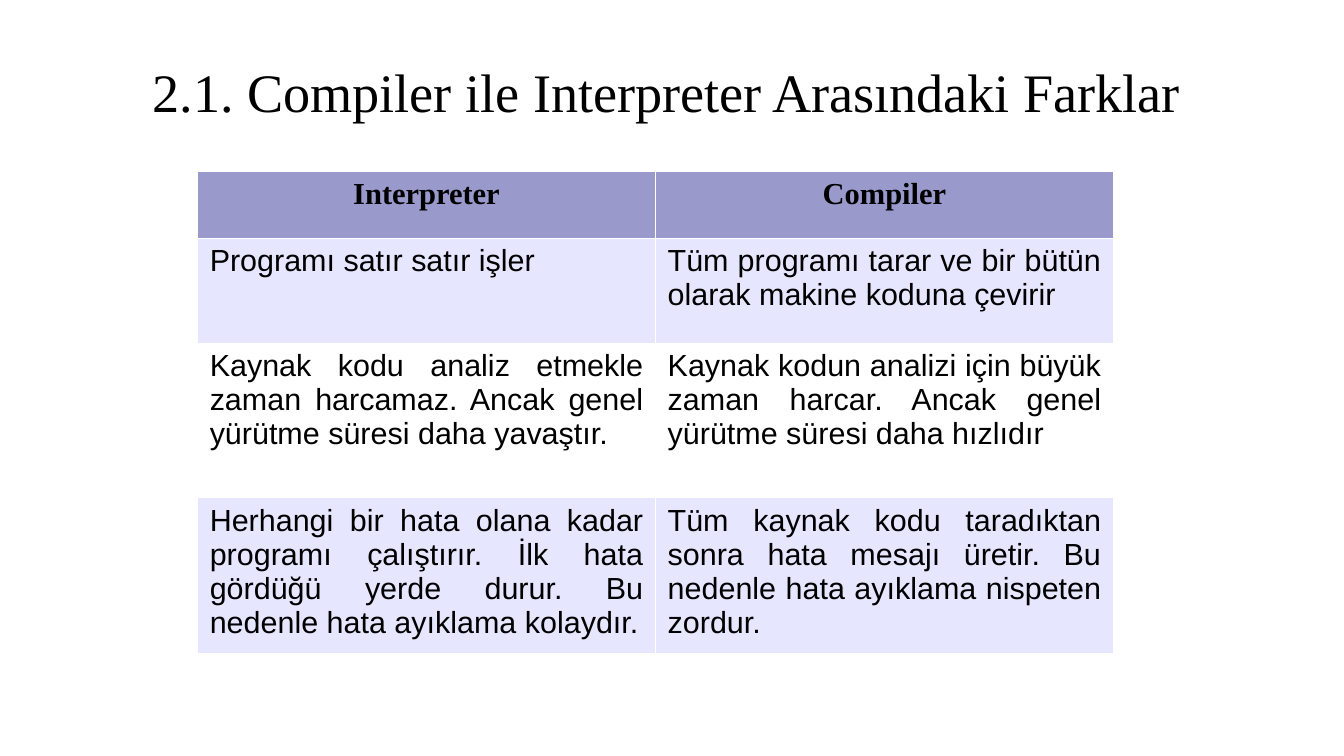
from dataclasses import dataclass

from lxml.etree import SubElement as Sub
from pptx import Presentation
from pptx.dml.color import RGBColor as Rgb
from pptx.enum.text import MSO_ANCHOR as Anchor, PP_ALIGN as Align
from pptx.oxml.ns import qn
from pptx.util import Inches, Pt

TITLE = "2.1. Compiler ile Interpreter Arasındaki Farklar"
HEADS = ("Interpreter", "Compiler")
ROWS = [
    ("Programı satır satır işler",
     "Tüm programı tarar ve bir bütün olarak makine koduna çevirir"),
    ("Kaynak kodu analiz etmekle zaman harcamaz. Ancak genel yürütme süresi daha yavaştır.",
     "Kaynak kodun analizi için büyük zaman harcar. Ancak genel yürütme süresi daha hızlıdır"),
    ("Herhangi bir hata olana kadar programı çalıştırır. İlk hata gördüğü yerde durur. "
     "Bu nedenle hata ayıklama kolaydır.",
     "Tüm kaynak kodu taradıktan sonra hata mesajı üretir. "
     "Bu nedenle hata ayıklama nispeten zordur."),
]
HEIGHTS = (0.55, 0.86, 1.27, 1.28)
WIDTH = 3.755


@dataclass(frozen=True)
class Theme:
    serif: str = "Times New Roman"
    sans: str = "Arial"
    ink: str = "000000"
    head: str = "9999CC"
    bands: tuple = ("E6E6FF", "FFFFFF")
    rule: str = "FFFFFF"
    hair: float = 0.06
    title: int = 32
    text: int = 18


LOOK = Theme()


def write(frame, text, size, face, align, bold=False):
    """Put one formatted paragraph in a text frame."""
    frame.text = text
    para = frame.paragraphs[0]
    para.alignment = align
    font = para.runs[0].font
    font.size, font.name, font.bold = Pt(size), face, bold
    font.color.rgb = Rgb.from_string(LOOK.ink)


def border(cell):
    """Draw a hairline on each side of a cell."""
    props = cell._tc.get_or_add_tcPr()
    for side in ("lnL", "lnR", "lnT", "lnB"):
        line = Sub(props, qn(f"a:{side}"), w=str(Pt(LOOK.hair)))
        Sub(Sub(line, qn("a:solidFill")), qn("a:srgbClr"), val=LOOK.rule)


def add_title(slide):
    """Place and format the title."""
    title = slide.shapes.title
    title.left, title.top = Inches(0.51), Inches(0.23)
    title.width, title.height = Inches(9.92), Inches(1.03)
    frame = title.text_frame
    write(frame, TITLE, LOOK.title, LOOK.serif, Align.CENTER)
    frame.vertical_anchor = Anchor.MIDDLE


def add_grid(slide):
    """Build the comparison table."""
    rows = [HEADS, *ROWS]
    table = slide.shapes.add_table(
        len(rows), len(HEADS), Inches(1.62), Inches(1.4),
        Inches(WIDTH * len(HEADS)), Inches(sum(HEIGHTS))).table
    table.first_row = table.horz_banding = False
    for col in table.columns:
        col.width = Inches(WIDTH)
    for r, (texts, height) in enumerate(zip(rows, HEIGHTS)):
        table.rows[r].height = Inches(height)
        for c, text in enumerate(texts):
            cell = table.cell(r, c)
            border(cell)
            cell.fill.solid()
            fill = LOOK.bands[(r - 1) % 2] if r else LOOK.head
            cell.fill.fore_color.rgb = Rgb.from_string(fill)
            if r == 0:
                write(cell.text_frame, text, LOOK.text, LOOK.serif, Align.CENTER, True)
            else:
                align = Align.LEFT if (r, c) == (1, 0) else Align.JUSTIFY
                write(cell.text_frame, text, LOOK.text, LOOK.sans, align)


def main():
    """Build and save the slide."""
    deck = Presentation()
    deck.slide_width, deck.slide_height = Inches(11.02), Inches(6.2)
    slide = deck.slides.add_slide(deck.slide_layouts[5])
    add_title(slide)
    add_grid(slide)
    deck.save("out.pptx")


if __name__ == "__main__":
    main()
